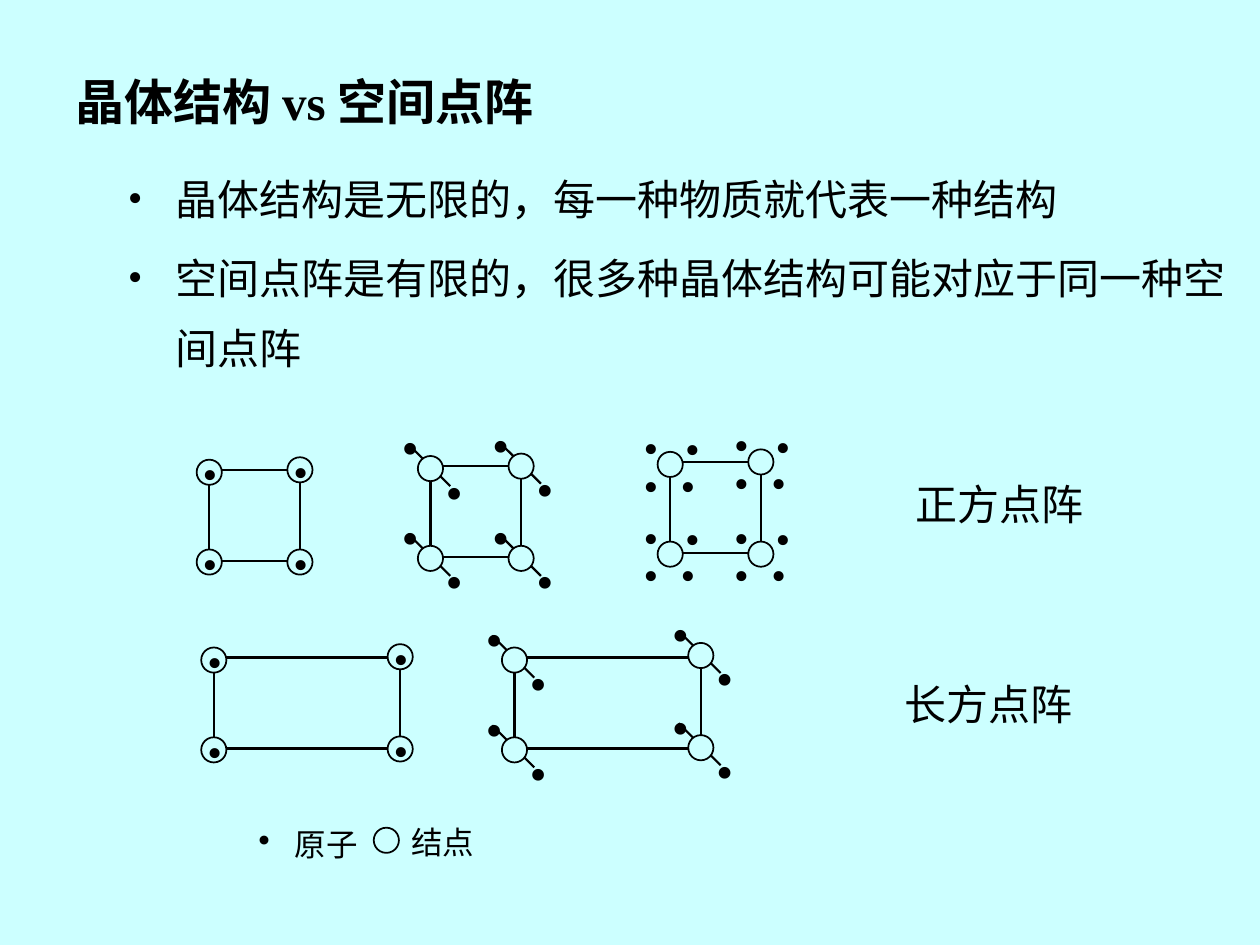
"""Build a slide comparing crystal structures with space lattices."""
from dataclasses import dataclass

import pptx
import pptx.dml.color
import pptx.enum.shapes
import pptx.enum.text
import pptx.oxml.ns
import pptx.util
from lxml import etree

Pt = pptx.util.Pt
qn = pptx.oxml.ns.qn
SHAPE = pptx.enum.shapes.MSO_SHAPE


@dataclass
class Theme:
    background: str = "CCFFFF"
    ink: str = "000000"
    font: str = "Times New Roman"
    title: int = 28
    body: int = 24
    legend: int = 18
    edge: float = 1.25
    ring: float = 1
    node: float = 14.4


def rgb(value):
    return pptx.dml.color.RGBColor.from_string(value)


class Board:
    def __init__(self, slide, theme):
        self.slide, self.theme = slide, theme
        slide.background.fill.solid()
        slide.background.fill.fore_color.rgb = rgb(theme.background)

    def text(self, paragraphs, x, y, w, h, size=None, bold=False, before=50,
             spacing=None, hanging=0, grow=True):
        """Add a text box; a paragraph is a string or a list of (text, size)."""
        tf = self.slide.shapes.add_textbox(Pt(x), Pt(y), Pt(w), Pt(h)).text_frame
        tf.word_wrap = True
        if grow:
            tf.auto_size = pptx.enum.text.MSO_AUTO_SIZE.SHAPE_TO_FIT_TEXT
        if isinstance(paragraphs, str):
            paragraphs = [paragraphs]
        for i, runs in enumerate(paragraphs):
            p = tf.paragraphs[0] if i == 0 else tf.add_paragraph()
            if spacing:
                p.line_spacing = spacing
            pPr = p._p.get_or_add_pPr()
            gap = etree.SubElement(pPr, qn("a:spcBef"))
            etree.SubElement(gap, qn("a:spcPct")).set("val", str(before * 1000))
            if hanging:
                pPr.set("marL", str(Pt(hanging)))
                pPr.set("indent", str(-Pt(hanging)))
                etree.SubElement(pPr, qn("a:buFont")).set("typeface", self.theme.font)
                etree.SubElement(pPr, qn("a:buChar")).set("char", "•")
            if isinstance(runs, str):
                runs = [(runs, size or self.theme.body)]
            for content, points in runs:
                r = p.add_run()
                r.text = content
                r.font.name = self.theme.font
                r.font.size = Pt(points)
                r.font.bold = bold
                r.font.color.rgb = rgb(self.theme.ink)

    def shape(self, kind, x, y, w, h, weight, fill=None):
        sp = self.slide.shapes.add_shape(kind, Pt(x), Pt(y), Pt(w), Pt(h))
        sp.shadow.inherit = False
        if fill:
            sp.fill.solid()
            sp.fill.fore_color.rgb = rgb(fill)
        else:
            sp.fill.background()
        sp.line.color.rgb = rgb(self.theme.ink)
        sp.line.width = Pt(weight)

    def line(self, x1, y1, x2, y2):
        cxn = self.slide.shapes.add_connector(
            pptx.enum.shapes.MSO_CONNECTOR.STRAIGHT, Pt(x1), Pt(y1), Pt(x2), Pt(y2))
        cxn.line.color.rgb = rgb(self.theme.ink)
        cxn.line.width = Pt(self.theme.edge)
        etree.SubElement(cxn._element.spPr, qn("a:effectLst"))

    def node(self, x, y):
        d = self.theme.node
        self.shape(SHAPE.OVAL, x, y, d, d, self.theme.ring, self.theme.background)

    def atom(self, x, y, size, h):
        self.text("•", x, y, 30, h, size=size)

    def single(self, x, y):
        self.atom(x - 3.6, y - 10.4, self.theme.body, 36)

    def pair(self, x, y):
        for shift in (0, 25.2):
            self.atom(x - 16.4 + shift, y - 25.9 + shift, self.theme.title, 41)
        self.line(x - 5.5, y - 6.8, x + 18.5, y + 17.2)

    def cluster(self, x, y):
        for dx, dy in ((8.6, -20.2), (6.1, 0.6), (-15.1, -20.9), (-15.1, 0.6)):
            self.atom(x + dx, y + dy, self.theme.body, 36)

    def lattice(self, x, y, w, motif, lift=0):
        """Draw one cell with a node and an atom motif at each corner."""
        h = 52
        nodes = [(x - 7.2, y - 5.8), (x + w - 7.2, y - 7.2 - lift),
                 (x - 7.2, y + h - 6.5), (x + w - 7.2, y + h - 6.5 - lift)]
        behind = motif == self.pair
        if behind:
            for corner in nodes:
                motif(*corner)
        self.shape(SHAPE.RECTANGLE, x, y, w, h, self.theme.edge)
        for corner in nodes:
            self.node(*corner)
            if not behind:
                motif(*corner)


def main():
    prs = pptx.Presentation()
    prs.slide_width, prs.slide_height = Pt(720), Pt(540)
    theme = Theme()
    board = Board(prs.slides.add_slide(prs.slide_layouts[6]), theme)

    board.text(["晶体结构是无限的，每一种物质就代表一种结构",
                "空间点阵是有限的，很多种晶体结构可能对应于同一种空间点阵"],
               66, 84, 654, 162, before=20, spacing=1.4, hanging=27, grow=False)
    board.text("晶体结构 vs 空间点阵", 36, 24, 375, 54.5, size=theme.title,
               bold=True, before=20, spacing=1.4)

    square, oblong = 51.8, 106.5
    board.lattice(119.6, 268.5, square, board.single)
    board.lattice(246, 266.4, square, board.pair)
    board.lattice(383, 264, square, board.cluster)
    board.lattice(122.2, 375.8, oblong, board.single, lift=0.5)
    board.lattice(294, 375.8, oblong, board.pair, lift=1.2)
    board.text("正方点阵", 516, 270, 132, 36)
    board.text("长方点阵", 510, 384, 132, 36)

    board.node(213.6, 473)
    board.text([[("• ", theme.body), ("原子", theme.legend)]], 132, 462, 84, 36)
    board.text("结点", 228, 466.5, 84, 29, size=theme.legend)
    prs.save("out.pptx")


if __name__ == "__main__":
    main()
